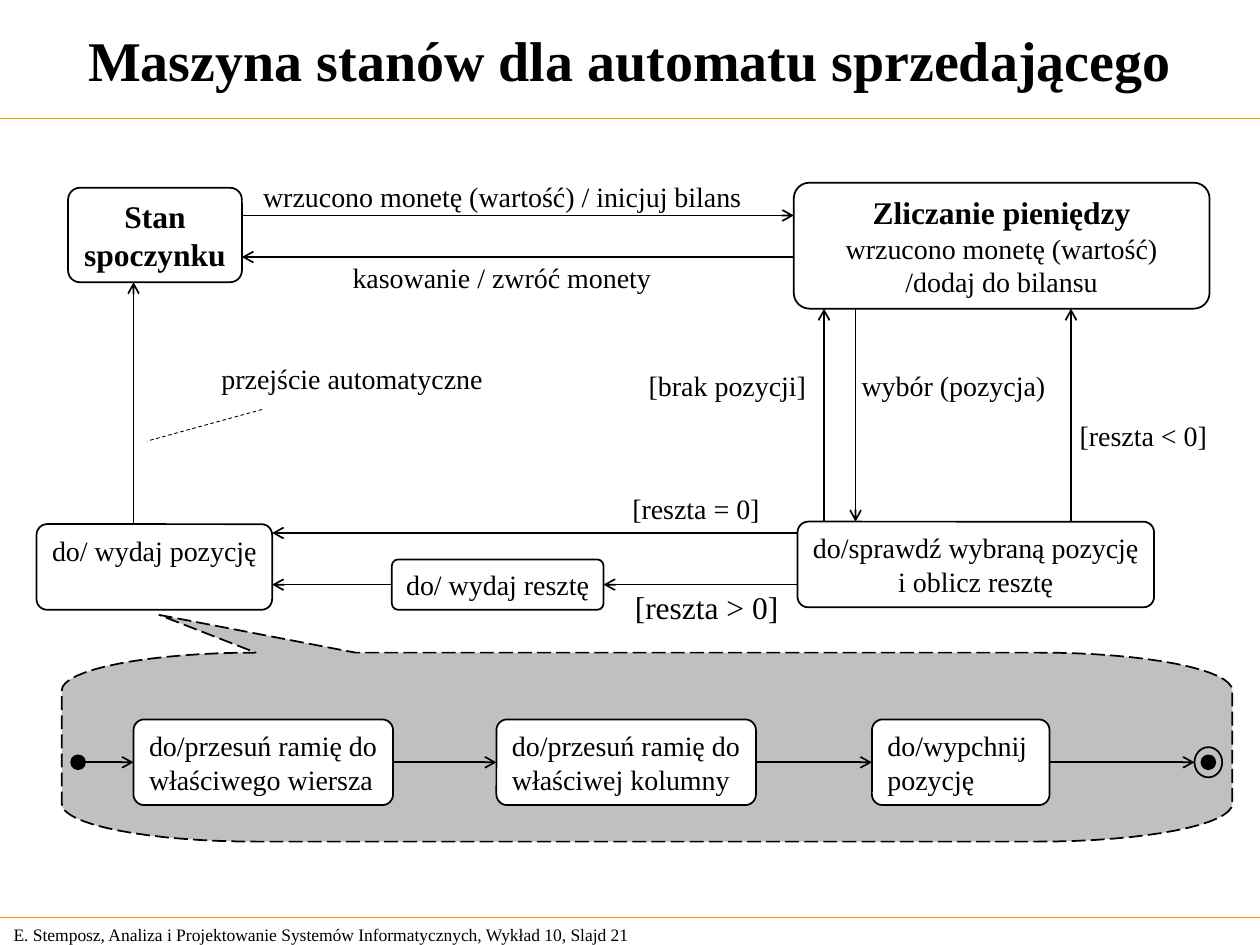
import math
from dataclasses import dataclass

import pptx
import pptx.util
from lxml import etree
from pptx.dml.color import RGBColor
from pptx.enum.dml import MSO_LINE
from pptx.enum.shapes import MSO_CONNECTOR, MSO_SHAPE
from pptx.enum.text import MSO_ANCHOR, MSO_AUTO_SIZE, PP_ALIGN
from pptx.oxml.ns import qn

Inches, Pt = pptx.util.Inches, pptx.util.Pt


@dataclass(frozen=True)
class Theme:
    font: str = "Times New Roman"
    ink: str = "000000"
    paper: str = "FFFFFF"
    rule: str = "FF9900"
    detail: str = "C0C0C0"
    title: int = 32
    heading: int = 18
    body: int = 16
    footer: int = 10


THEME = Theme()
WIDTH, HEIGHT = 10, 7.5
TOP, LEFT, BOTTOM, RIGHT = range(4)
CENTER, START = PP_ALIGN.CENTER, PP_ALIGN.LEFT

TITLE = "Maszyna stanów dla automatu sprzedającego"
FOOTER = "E. Stemposz, Analiza i Projektowanie Systemów Informatycznych, Wykład 10, Slajd 21"
RULES = (0.94, 7.28)

STEP_TOP, STEP_HEIGHT = 5.71, 0.68
STEP_MIDDLE = STEP_TOP + STEP_HEIGHT / 2

# name: (left, top, width, height), heading lines, body lines, alignment
STATES = {
    "idle": ((0.54, 1.49, 1.38, 0.75), ["Stan", "spoczynku"], [], CENTER),
    "counting": ((6.3, 1.45, 3.3, 1), ["Zliczanie pieniędzy"],
                 ["wrzucono monetę (wartość)", "/dodaj do bilansu"], CENTER),
    "dispense": ((0.29, 4.16, 1.87, 0.68), [], ["do/ wydaj pozycję"], START),
    "change": ((3.11, 4.44, 1.68, 0.4), [], ["do/ wydaj resztę"], START),
    "check": ((6.33, 4.14, 2.83, 0.68), [],
              ["do/sprawdź wybraną pozycję", "i oblicz resztę"], CENTER),
    "row": ((1.06, STEP_TOP, 2.06, STEP_HEIGHT), [],
            ["do/przesuń ramię do", "właściwego wiersza"], START),
    "column": ((3.94, STEP_TOP, 2.06, STEP_HEIGHT), [],
               ["do/przesuń ramię do", "właściwej kolumny"], START),
    "push": ((6.92, STEP_TOP, 1.41, STEP_HEIGHT), [], ["do/wypchnij", "pozycję"], START),
}

# name: (centre x, width, height)
START_DOT, END_DOT, END_RING = (0.62, 0.11, 0.11), (9.59, 0.11, 0.11), (9.59, 0.22, 0.24)

# source, side, target, side, y of a horizontal arrow or x of a vertical one
TRANSITIONS = [
    ("idle", RIGHT, "counting", LEFT, 1.71),
    ("counting", LEFT, "idle", RIGHT, 2.04),
    ("check", TOP, "counting", BOTTOM, 6.54),
    ("counting", BOTTOM, "check", TOP, 6.79),
    ("check", TOP, "counting", BOTTOM, 8.5),
    ("check", LEFT, "dispense", RIGHT, 4.23),
    ("check", LEFT, "change", RIGHT, 4.64),
    ("change", LEFT, "dispense", RIGHT, 4.64),
    ("dispense", TOP, "idle", BOTTOM, 1.06),
    ("start", RIGHT, "row", LEFT, STEP_MIDDLE),
    ("row", RIGHT, "column", LEFT, STEP_MIDDLE),
    ("column", RIGHT, "push", LEFT, STEP_MIDDLE),
    ("push", RIGHT, "end", LEFT, STEP_MIDDLE),
]

# text, left, top, width, size
LABELS = [
    ("wrzucono monetę (wartość) / inicjuj bilans", 1.99, 1.38, 4, THEME.body),
    ("kasowanie / zwróć monety", 2.7, 2.02, 2.57, THEME.body),
    ("przejście automatyczne", 1.66, 2.82, 2.27, THEME.body),
    ("[brak pozycji]", 5.05, 2.88, 1.45, THEME.body),
    ("wybór (pozycja)", 6.74, 2.88, 1.66, THEME.body),
    ("[reszta < 0]", 8.47, 3.27, 1.21, THEME.body),
    ("[reszta = 0]", 4.92, 3.85, 1.21, THEME.body),
    ("[reszta > 0]", 4.94, 4.62, 1.34, THEME.heading),
]
NOTE_LINE = ((2.08, 3.25), (1.17, 3.5))

CALLOUT = (0.49, 5.18, 9.78, 6.68)  # left, top, right, bottom
CORNER = (1.54, 0.3)
POINTER_TIP, POINTER_FOOT = (1.26, 4.88), 2.82


def color(value):
    return RGBColor.from_string(value)


def write(shape, lines, size=THEME.body, bold=False, align=START,
          anchor=MSO_ANCHOR.TOP, wrap=False):
    """Fill a shape with lines; a line is text or (text, size, bold)."""
    frame = shape.text_frame
    frame.word_wrap, frame.vertical_anchor = wrap, anchor
    frame.auto_size = MSO_AUTO_SIZE.NONE
    for index, line in enumerate(lines):
        text, line_size, line_bold = (line, size, bold) if isinstance(line, str) else line
        paragraph = frame.paragraphs[0] if index == 0 else frame.add_paragraph()
        paragraph.alignment = align
        run = paragraph.add_run()
        run.text = text
        run.font.name, run.font.size, run.font.bold = THEME.font, Pt(line_size), line_bold
        run.font.color.rgb = color(THEME.ink)


def paint(shape, fill):
    shape.shadow.inherit = False
    if fill:
        shape.fill.solid()
        shape.fill.fore_color.rgb = color(fill)
    else:
        shape.fill.background()
    shape.line.color.rgb, shape.line.width = color(THEME.ink), Pt(1)
    return shape


def add_line(slide, begin, end, ink=THEME.ink, width=1, dash=None, arrow=False):
    points = [Inches(value) for value in (*begin, *end)]
    connector = slide.shapes.add_connector(MSO_CONNECTOR.STRAIGHT, *points)
    connector.line.color.rgb, connector.line.width = color(ink), Pt(width)
    if dash:
        connector.line.dash_style = dash
    if arrow:
        etree.SubElement(connector.line._get_or_add_ln(), qn("a:tailEnd"), type="arrow")
    etree.SubElement(connector._element.spPr, qn("a:effectLst"))
    return connector


def add_callout(slide):
    left, top, right, bottom = CALLOUT
    radius_x, radius_y = CORNER
    centers = [(right - radius_x, top + radius_y), (right - radius_x, bottom - radius_y),
               (left + radius_x, bottom - radius_y), (left + radius_x, top + radius_y)]
    outline = [POINTER_TIP, (POINTER_FOOT, top)]
    for quarter, (x, y) in enumerate(centers):
        for step in range(17):
            angle = math.pi / 2 * (quarter - 1 + step / 16)
            outline.append((x + radius_x * math.cos(angle), y + radius_y * math.sin(angle)))
    points = [(Inches(x), Inches(y)) for x, y in outline]
    builder = slide.shapes.build_freeform(*points[0])
    builder.add_line_segments(points[1:], close=True)
    paint(builder.convert_to_shape(), THEME.detail).line.dash_style = MSO_LINE.LONG_DASH


def add_state(slide, box, headings, body, align):
    shape = slide.shapes.add_shape(MSO_SHAPE.ROUNDED_RECTANGLE, *map(Inches, box))
    shape.adjustments[0] = 0.125
    paint(shape, THEME.paper)
    write(shape, [(text, THEME.heading, True) for text in headings] + body, align=align)
    return shape


def add_dot(slide, center, width, height, fill=THEME.ink):
    box = (center - width / 2, STEP_MIDDLE - height / 2, width, height)
    return paint(slide.shapes.add_shape(MSO_SHAPE.OVAL, *map(Inches, box)), fill)


def side_point(shape, side, at):
    """Point on a side, and whether it is the middle of that side."""
    left, top, width, height = (value.inches for value in
                                (shape.left, shape.top, shape.width, shape.height))
    if side in (LEFT, RIGHT):
        return (left + width * (side == RIGHT), at), abs(at - top - height / 2) < 0.01
    return (at, top + height * (side == BOTTOM)), abs(at - left - width / 2) < 0.01


def add_transition(slide, nodes, source, source_side, target, target_side, at):
    begin, begin_joined = side_point(nodes[source], source_side, at)
    end, end_joined = side_point(nodes[target], target_side, at)
    connector = add_line(slide, begin, end, arrow=True)
    if begin_joined and source in STATES:
        connector.begin_connect(nodes[source], source_side)
    if end_joined and target in STATES:
        connector.end_connect(nodes[target], target_side)


def main():
    presentation = pptx.Presentation()
    presentation.slide_width, presentation.slide_height = Inches(WIDTH), Inches(HEIGHT)
    slide = presentation.slides.add_slide(presentation.slide_layouts[5])

    title = slide.shapes.title
    title.left, title.top, title.width, title.height = map(Inches, (0.04, 0.04, 9.92, 0.85))
    write(title, [TITLE], size=THEME.title, bold=True, align=CENTER,
          anchor=MSO_ANCHOR.MIDDLE, wrap=True)
    for y in RULES:
        add_line(slide, (0, y), (WIDTH, y), ink=THEME.rule, width=0.75)
    footer = slide.shapes.add_textbox(*map(Inches, (0.01, 7.28, 5.24, 0.27)))
    write(footer, [FOOTER], size=THEME.footer, anchor=MSO_ANCHOR.MIDDLE)

    add_callout(slide)
    nodes = {name: add_state(slide, *state) for name, state in STATES.items()}
    nodes["start"] = add_dot(slide, *START_DOT)
    nodes["end"] = add_dot(slide, *END_RING, fill=None)
    slide.shapes.add_group_shape([nodes["end"], add_dot(slide, *END_DOT)])
    for transition in TRANSITIONS:
        add_transition(slide, nodes, *transition)
    add_line(slide, *NOTE_LINE, width=0.5, dash=MSO_LINE.DASH)
    for text, left, top, width, size in LABELS:
        label = slide.shapes.add_textbox(*map(Inches, (left, top, width, 0.36)))
        write(label, [text], size=size)
    presentation.save("out.pptx")


if __name__ == "__main__":
    main()
